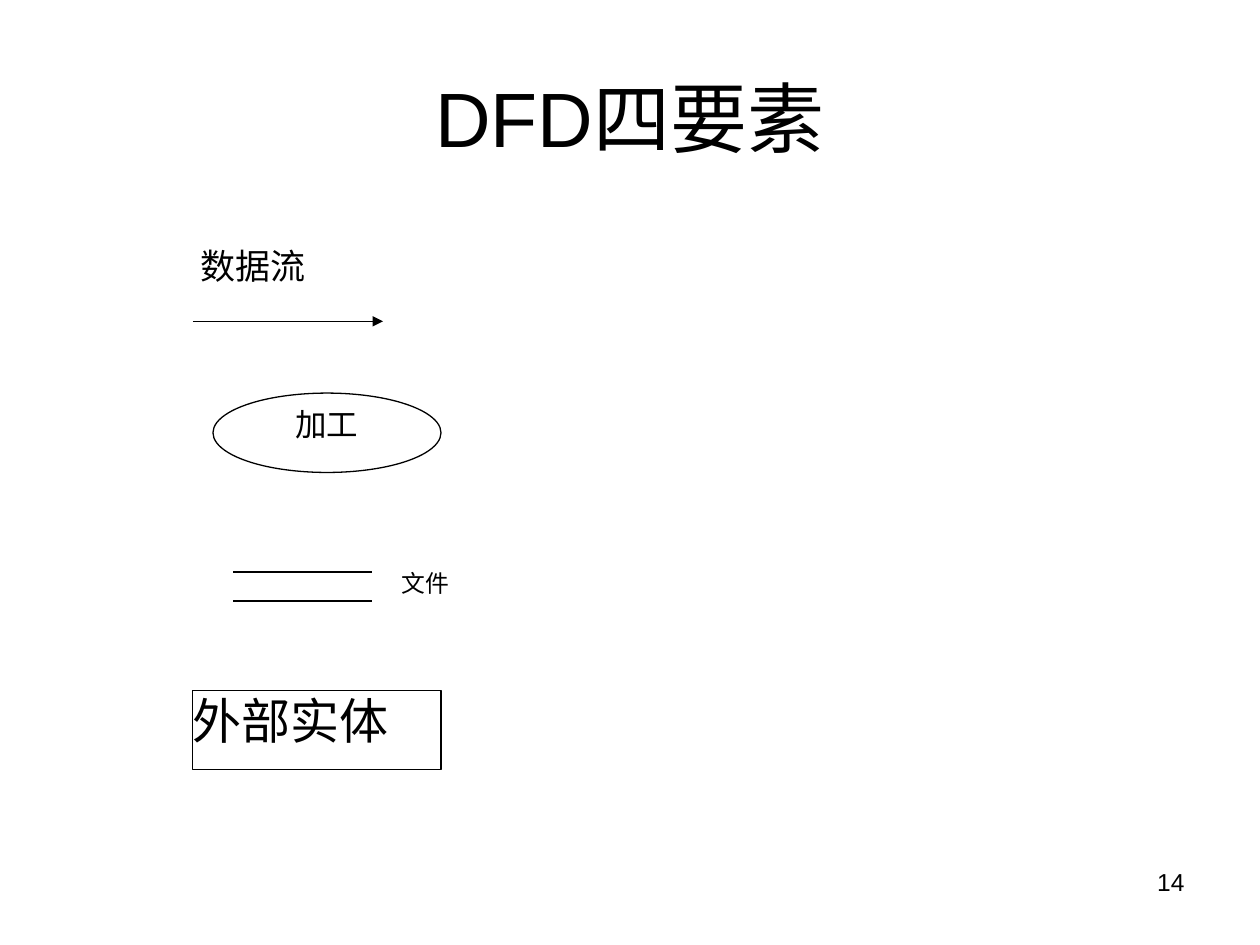
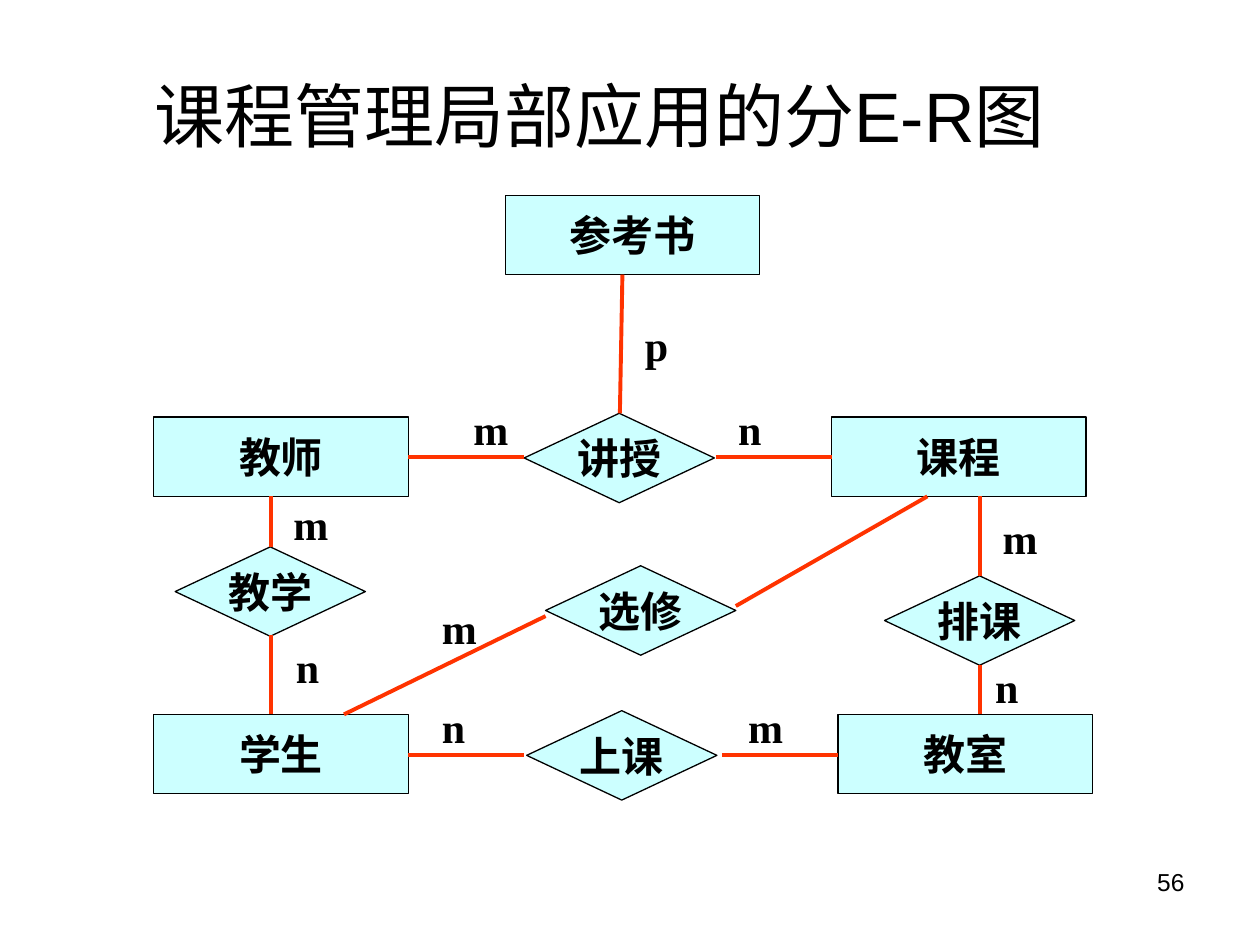
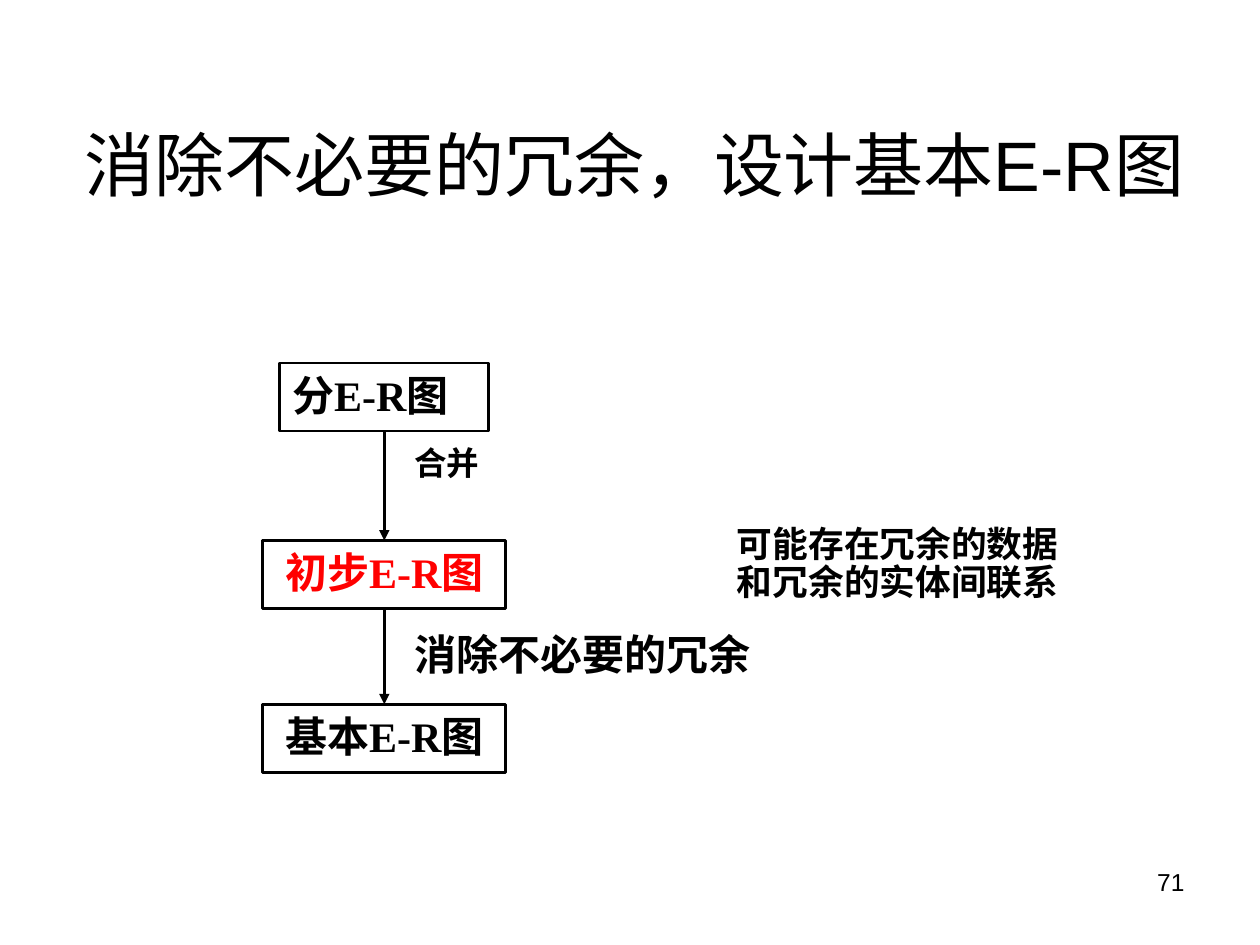
from dataclasses import dataclass, field
from typing import NamedTuple, Optional

from lxml import etree
from pptx import Presentation
from pptx import util as u
from pptx.dml import color
from pptx.enum import shapes, text
from pptx.oxml import ns


@dataclass(frozen=True)
class Theme:
    ink: str = "000000"
    paper: str = "FFFFFF"
    node: str = "CCFFFF"
    link: str = "FF3300"
    alert: str = "FF0000"
    title_font: str = "Arial"
    body_font: str = "Times New Roman"
    title_size: float = 40
    main_title_size: float = 44
    number_size: float = 14
    body_size: float = 24
    thin: float = 0.75
    medium: float = 1.5
    thick: float = 2.25


THEME = Theme()
LEFT, CENTER, RIGHT, JUSTIFY = (
    text.PP_ALIGN.LEFT, text.PP_ALIGN.CENTER, text.PP_ALIGN.RIGHT, text.PP_ALIGN.JUSTIFY)
TOP, MIDDLE = text.MSO_ANCHOR.TOP, text.MSO_ANCHOR.MIDDLE
RECT, OVAL, DECISION = (
    shapes.MSO_SHAPE.RECTANGLE, shapes.MSO_SHAPE.OVAL, shapes.MSO_SHAPE.FLOWCHART_DECISION)


class Area(NamedTuple):
    left: float
    top: float
    width: float
    height: float

    def lengths(self) -> list:
        return [u.Inches(value) for value in self]


@dataclass(frozen=True)
class Style:
    size: float = THEME.body_size
    font: str = THEME.body_font
    ink: str = THEME.ink
    bold: bool = False
    align: text.PP_ALIGN = LEFT
    anchor: text.MSO_ANCHOR = TOP
    spacing: Optional[float] = None
    inset: tuple = (0.1, 0.05)
    wrap: bool = True


@dataclass(frozen=True)
class Box:
    words: str
    area: Area
    style: Style = field(default_factory=Style)
    outline: Optional[shapes.MSO_SHAPE] = None
    fill: Optional[str] = None
    line: Optional[str] = THEME.ink
    line_width: float = THEME.thin


class Link(NamedTuple):
    x1: float
    y1: float
    x2: float
    y2: float
    ink: str = THEME.ink
    width: float = THEME.thin
    arrow: bool = False


def rgb(value: str) -> color.RGBColor:
    return color.RGBColor.from_string(value)


def write(frame, words: str, style: Style) -> None:
    frame.text = words
    frame.word_wrap = style.wrap
    frame.auto_size = text.MSO_AUTO_SIZE.NONE
    frame.vertical_anchor = style.anchor
    frame.margin_left = frame.margin_right = u.Inches(style.inset[0])
    frame.margin_top = frame.margin_bottom = u.Inches(style.inset[1])
    for paragraph in frame.paragraphs:
        paragraph.alignment = style.align
        if style.spacing:
            paragraph.line_spacing = style.spacing
        paragraph.font.name = style.font
        paragraph.font.size = u.Pt(style.size)
        paragraph.font.bold = style.bold
        paragraph.font.color.rgb = rgb(style.ink)


def draw_box(slide, box: Box) -> None:
    if box.outline is None:
        item = slide.shapes.add_textbox(*box.area.lengths())
    else:
        item = slide.shapes.add_shape(box.outline, *box.area.lengths())
        item.shadow.inherit = False
        if box.fill:
            item.fill.solid()
            item.fill.fore_color.rgb = rgb(box.fill)
        else:
            item.fill.background()
        if box.line:
            item.line.color.rgb = rgb(box.line)
            item.line.width = u.Pt(box.line_width)
        else:
            item.line.fill.background()
    write(item.text_frame, box.words, box.style)


def draw_link(slide, link: Link) -> None:
    ends = [u.Inches(value) for value in link[:4]]
    connector = slide.shapes.add_connector(shapes.MSO_CONNECTOR.STRAIGHT, *ends)
    connector.line.color.rgb = rgb(link.ink)
    connector.line.width = u.Pt(link.width)
    if link.arrow:
        etree.SubElement(connector.line._get_or_add_ln(), ns.qn("a:tailEnd"), type="triangle")
    etree.SubElement(connector._element.spPr, ns.qn("a:effectLst"))


def start_slide(deck, title: str, area: Area, number: int, size: float = THEME.title_size):
    slide = deck.slides.add_slide(deck.slide_layouts[5])
    heading = slide.shapes.title
    heading.left, heading.top, heading.width, heading.height = area.lengths()
    write(heading.text_frame, title,
          Style(size, THEME.title_font, align=CENTER, anchor=MIDDLE))
    draw_box(slide, Box(str(number), Area(7.17, 6.83, 2.33, 0.52),
                        Style(THEME.number_size, THEME.title_font, align=RIGHT)))
    return slide


def dfd_elements(deck) -> None:
    slide = start_slide(deck, "DFD四要素", Area(0.5, 0.3, 9, 1.25), 14, THEME.main_title_size)
    flush = (0, 0)
    elements = (
        Box("数据流", Area(1.59, 1.94, 1.13, 0.57), Style(20, inset=flush),
            RECT, THEME.paper, None),
        Box("加工", Area(1.69, 3.12, 1.81, 0.63), Style(18, align=CENTER, inset=flush),
            OVAL, THEME.paper),
        Box("文件", Area(3.19, 4.54, 1.42, 0.24), Style(13.6, spacing=0.9, inset=flush),
            RECT, THEME.paper, THEME.paper),
        Box("外部实体", Area(1.53, 5.48, 1.97, 0.63), Style(28, inset=flush),
            RECT, THEME.paper),
    )
    for element in elements:
        draw_box(slide, element)
    draw_link(slide, Link(1.53, 2.55, 3.04, 2.55, arrow=True))
    for file_edge in (4.54, 4.77):
        draw_link(slide, Link(1.85, file_edge, 2.95, file_edge))


def course_diagram(deck) -> None:
    slide = start_slide(deck, "课程管理局部应用的分E-R图", Area(0.51, 0.28, 8.5, 1.25), 56)
    entities = (("学生", 1.22, 5.67), ("教师", 1.22, 3.31), ("课程", 6.6, 3.31),
                ("教室", 6.65, 5.67), ("参考书", 4.01, 1.55))
    relations = (("教学", 1.39, 4.34), ("上课", 4.18, 5.64), ("讲授", 4.16, 3.28),
                 ("选修", 4.33, 4.49), ("排课", 7.02, 4.57))
    node_style = Style(bold=True, align=CENTER, anchor=MIDDLE, wrap=False)
    for outline, nodes, size in ((RECT, entities, (2.02, 0.63)),
                                 (DECISION, relations, (1.51, 0.71))):
        for name, left, top in nodes:
            draw_box(slide, Box(name, Area(left, top, *size), node_style, outline, THEME.node))

    links = (
        (4.94, 2.18, 4.92, 3.28), (7.36, 3.94, 5.84, 4.81), (4.33, 4.89, 2.73, 5.67),
        (2.15, 3.94, 2.15, 4.34), (2.15, 5.04, 2.15, 5.67),
        (7.78, 3.94, 7.78, 4.57), (7.78, 5.28, 7.78, 5.67),
        (3.24, 3.63, 4.16, 3.63), (5.68, 3.63, 6.6, 3.63),
        (3.24, 5.99, 4.16, 5.99), (5.73, 5.99, 6.65, 5.99),
    )
    for ends in links:
        draw_link(slide, Link(*ends, THEME.link, THEME.thick))

    narrow, wide = 0.34, 0.42
    cardinalities = (
        ("m", 7.86, 4.02, narrow), ("n", 2.23, 5.04, wide), ("n", 3.41, 5.52, narrow),
        ("m", 5.84, 5.52, narrow), ("p", 5.02, 2.49, narrow), ("n", 5.76, 3.15, narrow),
        ("m", 3.66, 3.15, narrow), ("m", 3.41, 4.73, narrow), ("n", 7.78, 5.2, wide),
        ("m", 2.23, 3.91, narrow),
    )
    for letter, left, top, width in cardinalities:
        draw_box(slide, Box(letter, Area(left, top, width, 0.5), Style(bold=True, align=CENTER)))


def basic_diagram(deck) -> None:
    slide = start_slide(deck, "消除不必要的冗余，设计基本E-R图", Area(0.35, 0.67, 9.37, 1.25), 71)
    axis, height = 3.05, 0.54
    stages = (("分E-R图", 2.88, 1.66, JUSTIFY, THEME.ink),
              ("初步E-R图", 4.29, 1.93, CENTER, THEME.alert),
              ("基本E-R图", 5.59, 1.93, CENTER, THEME.ink))
    for name, top, width, align, ink in stages:
        draw_box(slide, Box(name, Area(axis - width / 2, top, width, height),
                            Style(ink=ink, bold=True, align=align, wrap=align == JUSTIFY),
                            RECT, line_width=THEME.medium))
    for upper, lower in zip(stages, stages[1:]):
        draw_link(slide, Link(axis, upper[1] + height, axis, lower[1],
                              width=THEME.medium, arrow=True))
    remarks = (
        ("合并", Area(3.19, 3.53, 1.24, 0.43), 18.6, 0.8),
        ("可能存在冗余的数据\n和冗余的实体间联系", Area(5.75, 4.13, 3.25, 0.83), 20.4, 0.9),
        ("消除不必要的冗余", Area(3.19, 4.94, 3.03, 0.54), THEME.body_size, None),
    )
    for words, area, size, spacing in remarks:
        draw_box(slide, Box(words, area, Style(size, bold=True, align=JUSTIFY, spacing=spacing)))


def main() -> None:
    deck = Presentation()
    deck.slide_width, deck.slide_height = u.Inches(10), u.Inches(7.5)
    dfd_elements(deck)
    course_diagram(deck)
    basic_diagram(deck)
    deck.save("out.pptx")


if __name__ == "__main__":
    main()
